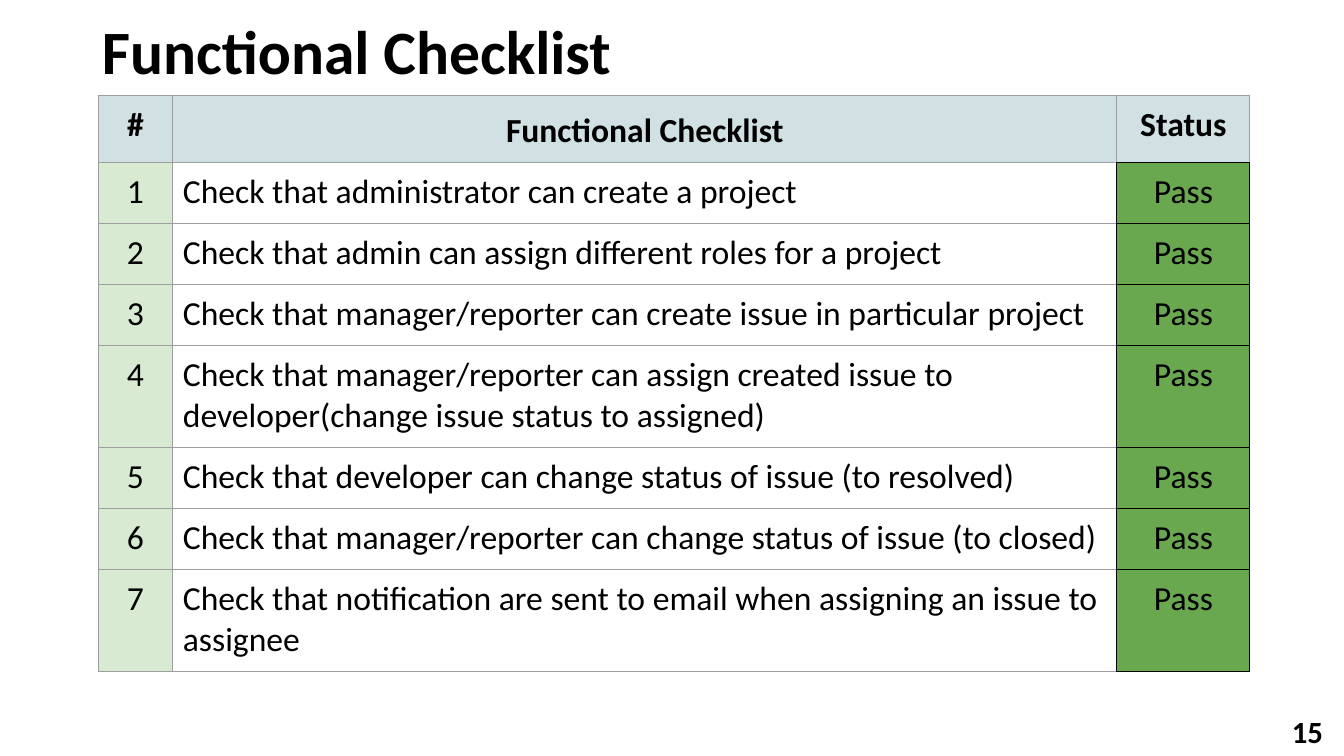
from lxml import etree
from pptx import Presentation
from pptx.dml.color import RGBColor
from pptx.enum.text import MSO_ANCHOR, PP_ALIGN
from pptx.oxml.ns import qn
from pptx.util import Pt

# Content
TITLE = "Functional Checklist"
PAGE_NUMBER = "15"
HEADER = ("#", "Functional Checklist", "Status")
CHECKS = [
    "Check that administrator can create a project",
    "Check that admin can assign different roles for a project",
    "Check that manager/reporter can create issue in particular project",
    "Check that manager/reporter can assign created issue to "
    "developer(change issue status to assigned)",
    "Check that developer can change status of issue (to resolved)",
    "Check that manager/reporter can change status of issue (to closed)",
    "Check that notification are sent to email when assigning an issue to assignee",
]
STATUS = "Pass"

# Style
FONT = "Calibri"
BLACK = RGBColor(0x00, 0x00, 0x00)
GRAY = RGBColor(0x9E, 0x9E, 0x9E)
HEADER_BLUE = RGBColor(0xD0, 0xE0, 0xE3)
PALE_GREEN = RGBColor(0xD9, 0xEA, 0xD3)
PASS_GREEN = RGBColor(0x6A, 0xA8, 0x4F)
LEFT, CENTER = PP_ALIGN.LEFT, PP_ALIGN.CENTER
TOP, MIDDLE = MSO_ANCHOR.TOP, MSO_ANCHOR.MIDDLE
COLUMN_ALIGNMENTS = (CENTER, LEFT, CENTER)
COLUMN_FILLS = (PALE_GREEN, None, PASS_GREEN)

# Geometry in px
SLIDE_WIDTH, SLIDE_HEIGHT = 1344, 756
TABLE_LEFT, TABLE_TOP = 98, 95
COLUMN_WIDTHS = (75, 944, 133)
HEADER_HEIGHT, LINE_HEIGHT, CELL_MARGIN = 67, 41, 10
CHARACTERS_PER_LINE = 70


def px(length):
    return round(length * 914400 / 100.8)


def format_run(run, size, bold):
    run.font.name = FONT
    run.font.size = Pt(size)
    run.font.bold = bold
    run.font.color.rgb = BLACK


def add_text(slide, box, text, size, margins, anchor):
    shape = slide.shapes.add_textbox(*map(px, box))
    frame = shape.text_frame
    frame.word_wrap = True
    frame.vertical_anchor = anchor
    frame.margin_left, frame.margin_top, frame.margin_right, frame.margin_bottom = map(px, margins)
    paragraph = frame.paragraphs[0]
    paragraph.text = text
    paragraph.alignment = LEFT
    format_run(paragraph.runs[0], size, True)


def add_borders(cell, colors):
    properties = cell._tc.get_or_add_tcPr()
    for side, color in zip("LRTB", colors):
        line = etree.SubElement(properties, qn(f"a:ln{side}"), w=str(Pt(0.75)))
        fill = etree.SubElement(line, qn("a:solidFill"))
        etree.SubElement(fill, qn("a:srgbClr"), val=str(color))


def border_colors(row, column):
    if column == 2:
        return (GRAY, GRAY, GRAY, BLACK) if row == 0 else (BLACK,) * 4
    if column == 1 and row > 0:
        return GRAY, BLACK, GRAY, GRAY
    return (GRAY,) * 4


def fill_cell(cell, row, column, text):
    is_header = row == 0
    cell.margin_left = cell.margin_right = px(CELL_MARGIN)
    cell.margin_top = cell.margin_bottom = px(CELL_MARGIN)
    cell.vertical_anchor = TOP
    add_borders(cell, border_colors(row, column))
    color = HEADER_BLUE if is_header else COLUMN_FILLS[column]
    if color is None:
        cell.fill.background()
    else:
        cell.fill.solid()
        cell.fill.fore_color.rgb = color
    paragraph = cell.text_frame.paragraphs[0]
    paragraph.text = text
    paragraph.alignment = CENTER if is_header else COLUMN_ALIGNMENTS[column]
    if is_header and column == 1:
        paragraph.line_spacing = 1.15
    format_run(paragraph.runs[0], 24, is_header)


def add_checklist(slide):
    rows = [HEADER] + [(str(number), check, STATUS) for number, check in enumerate(CHECKS, 1)]
    heights = [HEADER_HEIGHT]
    for check in CHECKS:
        line_count = 1 + len(check) // CHARACTERS_PER_LINE
        heights.append(line_count * LINE_HEIGHT + 2 * CELL_MARGIN)
    box = (TABLE_LEFT, TABLE_TOP, sum(COLUMN_WIDTHS), sum(heights))
    table = slide.shapes.add_table(len(rows), len(HEADER), *map(px, box)).table
    for column, width in zip(table.columns, COLUMN_WIDTHS):
        column.width = px(width)
    for row, height in zip(table.rows, heights):
        row.height = px(height)
    for row, texts in enumerate(rows):
        for column, text in enumerate(texts):
            fill_cell(table.cell(row, column), row, column, text)


def main():
    presentation = Presentation()
    presentation.slide_width = px(SLIDE_WIDTH)
    presentation.slide_height = px(SLIDE_HEIGHT)
    slide = presentation.slides.add_slide(presentation.slide_layouts[6])

    # Title and page number
    add_text(slide, (89, 0, 1183, 125), TITLE, 44, (13, 13, 13, 13), TOP)
    add_text(slide, (1257, 706, 87, 50), PAGE_NUMBER, 22, (35, 13, 13, 13), MIDDLE)

    # Checklist
    add_checklist(slide)

    presentation.save("out.pptx")


if __name__ == "__main__":
    main()
